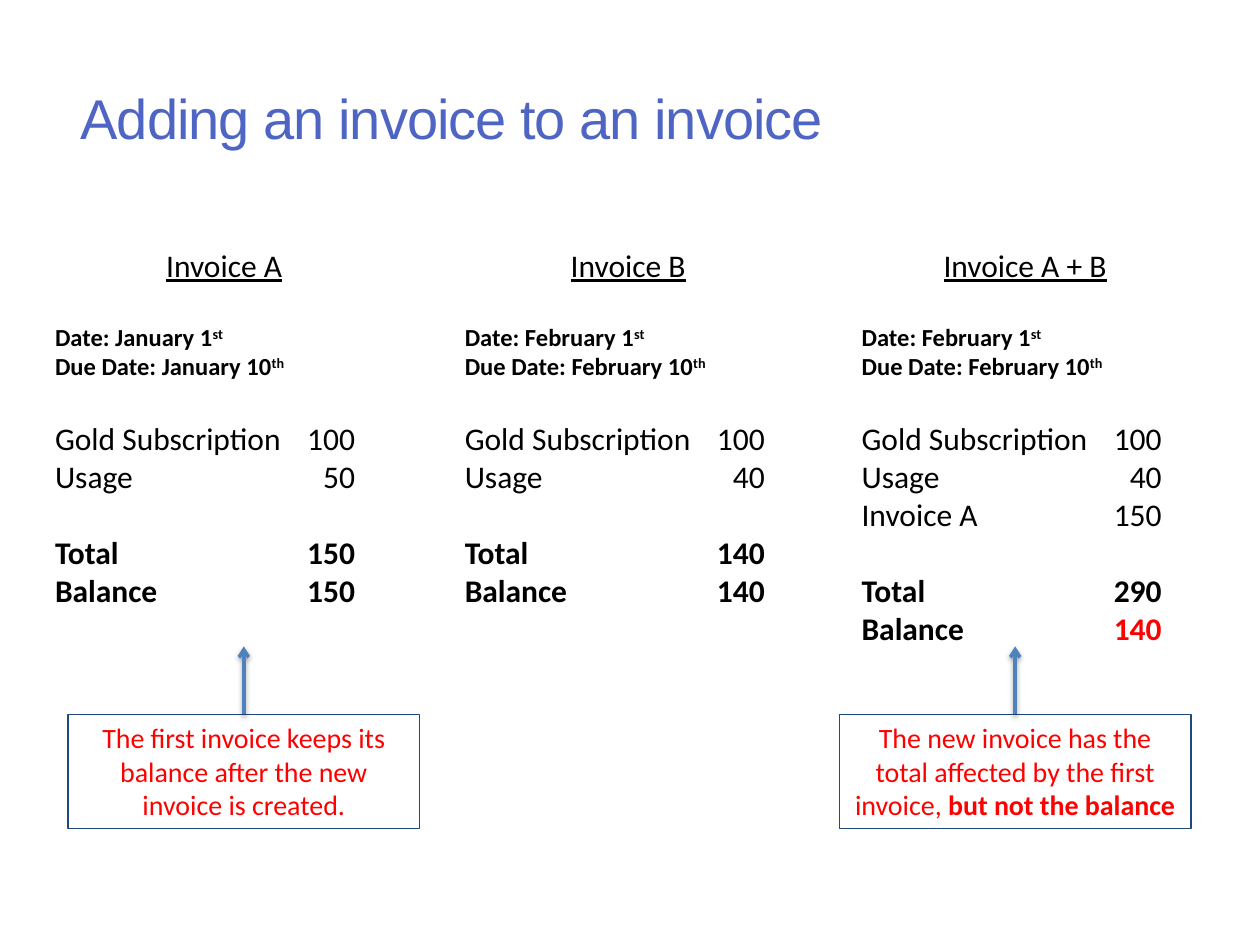
from dataclasses import dataclass

from lxml import etree
from pptx import Presentation
from pptx.dml.color import RGBColor
from pptx.enum.shapes import MSO_CONNECTOR, MSO_SHAPE
from pptx.enum.text import MSO_ANCHOR, PP_ALIGN
from pptx.oxml import parse_xml
from pptx.oxml.ns import nsdecls, qn
from pptx.util import Cm, Pt

LEFT, CENTER = PP_ALIGN.LEFT, PP_ALIGN.CENTER
MIDDLE, TOP = MSO_ANCHOR.MIDDLE, MSO_ANCHOR.TOP
RECT, STRAIGHT = MSO_SHAPE.RECTANGLE, MSO_CONNECTOR.STRAIGHT

INDIGO = RGBColor(0x4F, 0x65, 0xC4)
BLACK = RGBColor(0, 0, 0)
RED = RGBColor(0xFF, 0, 0)
NAVY = RGBColor(0x1F, 0x49, 0x7D)
BLUE = RGBColor(0x4F, 0x81, 0xBD)

HEAD = {"name": "Calibri", "size": Pt(18), "underline": True}
DATE = {"name": "Calibri", "size": Pt(14), "bold": True}
ITEM = {"name": "Calibri", "size": Pt(18)}
SUM = ITEM | {"bold": True}
NOTE = {"name": "Calibri", "size": Pt(16)}

GAP = Pt(22)  # one line between the groups of an invoice
STOP = Cm(6.05)  # right edge of the amounts
BOX_W, BOX_H, BOX_Y = 7.09, 2.31, 14.4
TIP_Y = 13.03


@dataclass
class Invoice:
    left: float
    width: float
    height: float
    name: str
    month: str
    items: list[tuple[str, int]]
    total: int
    balance: int
    tint: RGBColor = BLACK


@dataclass
class Note:
    left: float
    text: str
    strong: str = ""


INVOICES = [
    Invoice(0.86, 7.32, 7.62, "Invoice A", "January",
            [("Gold Subscription", 100), ("Usage", 50)], 150, 150),
    Invoice(9.12, BOX_W, 7.62, "Invoice B", "February",
            [("Gold Subscription", 100), ("Usage", 40)], 140, 140),
    Invoice(17.12, BOX_W, 8.38, "Invoice A + B", "February",
            [("Gold Subscription", 100), ("Usage", 40), ("Invoice A", 150)],
            290, 140, RED),
]
NOTES = [
    Note(1.37, "The first invoice keeps its balance after the new "
               "invoice is created."),
    Note(16.92, "The new invoice has the total affected by the first invoice, ",
         "but not the balance"),
]


def add_run(para, text: str, form: dict, color: RGBColor = BLACK):
    run = para.add_run()
    run.text = text
    for key, value in form.items():
        setattr(run.font, key, value)
    run.font.color.rgb = color
    return run


def add_para(frame, gap: bool = False):
    first = frame.paragraphs[0]
    para = frame.add_paragraph() if first.runs else first
    if gap:
        para.space_before = GAP
    return para


def add_date(frame, label: str, suffix: str, gap: bool = False) -> None:
    para = add_para(frame, gap)
    add_run(para, label, DATE)
    raised = add_run(para, suffix, DATE)
    raised._r.get_or_add_rPr().set("baseline", "30000")


def add_row(frame, label: str, amount: int, form: dict,
            gap: bool = False, tint: RGBColor = BLACK) -> None:
    para = add_para(frame, gap)
    tabs = etree.SubElement(para._p.get_or_add_pPr(), qn("a:tabLst"))
    etree.SubElement(tabs, qn("a:tab"), pos=str(int(STOP)), algn="r")
    add_run(para, f"{label}\t", form)
    add_run(para, str(amount), form, tint)


def draw_invoice(slide, inv: Invoice) -> None:
    box = slide.shapes.add_textbox(
        Cm(inv.left), Cm(4.83), Cm(inv.width), Cm(inv.height))
    frame = box.text_frame
    frame.word_wrap = True
    frame.vertical_anchor = TOP
    head = add_para(frame)
    head.alignment = CENTER
    add_run(head, inv.name, HEAD)
    add_date(frame, f"Date: {inv.month} 1", "st", gap=True)
    add_date(frame, f"Due Date: {inv.month} 10", "th")
    for i, (label, amount) in enumerate(inv.items):
        add_row(frame, label, amount, ITEM, gap=i == 0)
    add_row(frame, "Total", inv.total, SUM, gap=True)
    add_row(frame, "Balance", inv.balance, SUM, tint=inv.tint)


def draw_note(slide, note: Note) -> None:
    box = slide.shapes.add_shape(
        RECT, Cm(note.left), Cm(BOX_Y), Cm(BOX_W), Cm(BOX_H))
    box.shadow.inherit = False
    box.fill.background()
    box.line.color.rgb = NAVY
    box.line.width = Pt(0.75)
    frame = box.text_frame
    frame.word_wrap = True
    frame.vertical_anchor = TOP
    para = add_para(frame)
    para.alignment = CENTER
    add_run(para, note.text, NOTE, RED)
    if note.strong:
        add_run(para, note.strong, NOTE | {"bold": True}, RED)


def draw_arrow(slide, note: Note) -> None:
    mid = Cm(note.left + BOX_W / 2)
    arrow = slide.shapes.add_connector(STRAIGHT, mid, Cm(BOX_Y), mid, Cm(TIP_Y))
    arrow.line.color.rgb = BLUE
    arrow.line.width = Pt(2)
    etree.SubElement(arrow.line._get_or_add_ln(), qn("a:tailEnd"), type="arrow")
    arrow._element.spPr.append(parse_xml(
        f'<a:effectLst {nsdecls("a")}><a:outerShdw blurRad="40000" dist="20000"'
        ' dir="5400000" rotWithShape="0"><a:srgbClr val="000000">'
        '<a:alpha val="38000"/></a:srgbClr></a:outerShdw></a:effectLst>'))


def draw_title(slide, text: str) -> None:
    title = slide.shapes.title
    place = {"left": Cm(1.37), "top": Cm(1.3),
             "width": Cm(17.78), "height": Cm(2.11)}
    for key, value in place.items():
        setattr(title, key, value)
    title.text_frame.vertical_anchor = MIDDLE
    para = add_para(title.text_frame)
    para.alignment = LEFT
    run = add_run(para, text, {"name": "Arial", "size": Pt(32)}, INDIGO)
    run._r.get_or_add_rPr().set("spc", "-60")


deck = Presentation()
deck.slide_width, deck.slide_height = Cm(25.4), Cm(19.05)
slide = deck.slides.add_slide(deck.slide_layouts[5])

# Title
draw_title(slide, "Adding an invoice to an invoice")

# Invoice columns
for inv in INVOICES:
    draw_invoice(slide, inv)

# Notes with arrows up to the balances
for note in NOTES:
    draw_note(slide, note)
    draw_arrow(slide, note)

deck.save("out.pptx")
